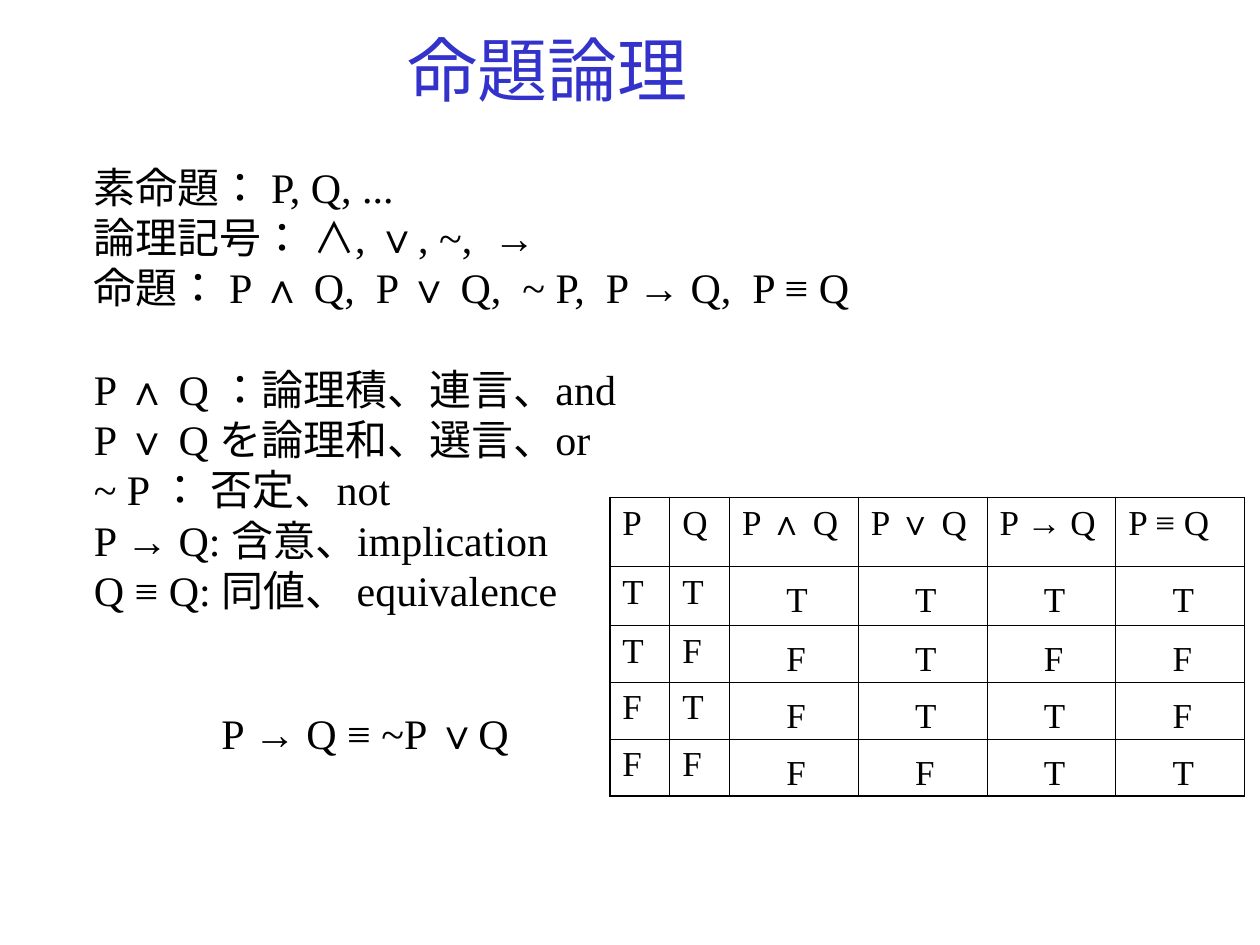
from lxml.etree import SubElement
from pptx import Presentation
from pptx.dml.color import RGBColor
from pptx.enum.lang import MSO_LANGUAGE_ID as Lang
from pptx.enum.text import MSO_ANCHOR as Anchor, MSO_AUTO_SIZE as AutoSize, PP_ALIGN as Align
from pptx.oxml.ns import qn
from pptx.util import Pt

COLORS = {"title": "3333CC", "ink": "000000"}
FONT = "Times New Roman"
OUTER, INNER = 1.08, 0.45

DEFINITIONS = [
    "素命題： P, Q, ...",
    "論理記号： ∧, ∨, ~,  →",
    "命題： P ∧ Q,  P ∨ Q,  ~ P,  P → Q,  P ≡ Q",
]
READINGS = [
    "P ∧ Q ：論理積、連言、and",
    "P ∨ Q を論理和、選言、or",
    "~ P ： 否定、not",
    "P → Q: 含意、implication",
    "Q ≡ Q: 同値、 equivalence",
]
TRUTH_TABLE = [
    ["P", "Q", "P ∧ Q", "P ∨ Q", "P → Q", "P ≡ Q"],
    list("TTTTTT"),
    list("TFFTFF"),
    list("FTFTTF"),
    list("FFFFTT"),
]


class LogicSlide:
    def __init__(self, slide):
        self.slide = slide

    def style(self, paragraph, size, color="ink"):
        paragraph.alignment = Align.LEFT
        font = paragraph.font
        font.name, font.size = FONT, Pt(size)
        font.color.rgb = RGBColor.from_string(COLORS[color])
        font.language_id = Lang.JAPANESE

    def title(self, text, left, top, width, height, indent):
        heading = self.slide.shapes.title
        heading.left, heading.top = Pt(left), Pt(top)
        heading.width, heading.height = Pt(width), Pt(height)
        frame = heading.text_frame
        frame.text = text
        frame.auto_size = AutoSize.NONE
        frame.vertical_anchor = Anchor.TOP
        frame.margin_left = Pt(indent)
        frame.margin_top = 0
        self.style(frame.paragraphs[0], 40, "title")

    def text(self, groups, left, top, width, height, wrap=True, group_gap=29):
        """Write groups of lines, with a gap before each later group."""
        box = self.slide.shapes.add_textbox(Pt(left), Pt(top), Pt(width), Pt(height))
        frame = box.text_frame
        frame.word_wrap = wrap
        frame.vertical_anchor = Anchor.MIDDLE
        frame.text = "\n".join(line for group in groups for line in group)
        for paragraph in frame.paragraphs:
            self.style(paragraph, 24)
        start = 0
        for group in groups[:-1]:
            start += len(group)
            frame.paragraphs[start].space_before = Pt(group_gap)

    def border(self, cell, side, width):
        line = SubElement(cell._tc.get_or_add_tcPr(), qn(f"a:ln{side}"), w=str(Pt(width)))
        fill = SubElement(line, qn("a:solidFill"))
        SubElement(fill, qn("a:srgbClr"), val=COLORS["ink"])

    def truth_table(self, rows, left, top, widths, heights):
        """Draw the table; values under a formula sit lower and further right."""
        table = self.slide.shapes.add_table(
            len(rows), len(widths), Pt(left), Pt(top), Pt(sum(widths)), Pt(sum(heights))
        ).table
        for column, width in zip(table.columns, widths):
            column.width = Pt(width)
        for row, height in zip(table.rows, heights):
            row.height = Pt(height)
        last_row, last_column = len(rows) - 1, len(widths) - 1
        for r, values in enumerate(rows):
            for c, value in enumerate(values):
                cell = table.cell(r, c)
                cell.text = value
                self.style(cell.text_frame.paragraphs[0], 20)
                if r > 0 and c > 1:
                    cell.margin_left, cell.margin_top = Pt(32.5), Pt(8.4)
                    cell.margin_bottom = 0
                edges = {"L": c == 0, "R": c == last_column, "T": r == 0, "B": r == last_row}
                for side, is_outer in edges.items():
                    self.border(cell, side, OUTER if is_outer else INNER)
                cell.fill.background()


def main():
    deck = Presentation()
    deck.slide_width, deck.slide_height = Pt(720), Pt(540)
    page = LogicSlide(deck.slides.add_slide(deck.slide_layouts[5]))
    page.title("命題論理", 113, 15, 495, 55.5, indent=120)
    page.text([DEFINITIONS, READINGS], 46.5, 88.5, 627, 266.5)
    page.truth_table(TRUTH_TABLE, 348.5, 284.3, [34.2] * 2 + [73.6] * 4,
                     [39.5, 33.7] + [31.5] * 3)
    page.text([["P → Q ≡ ~P ∨Q"]], 119.5, 400.5, 179.5, 36, wrap=False)
    deck.save("out.pptx")


if __name__ == "__main__":
    main()
